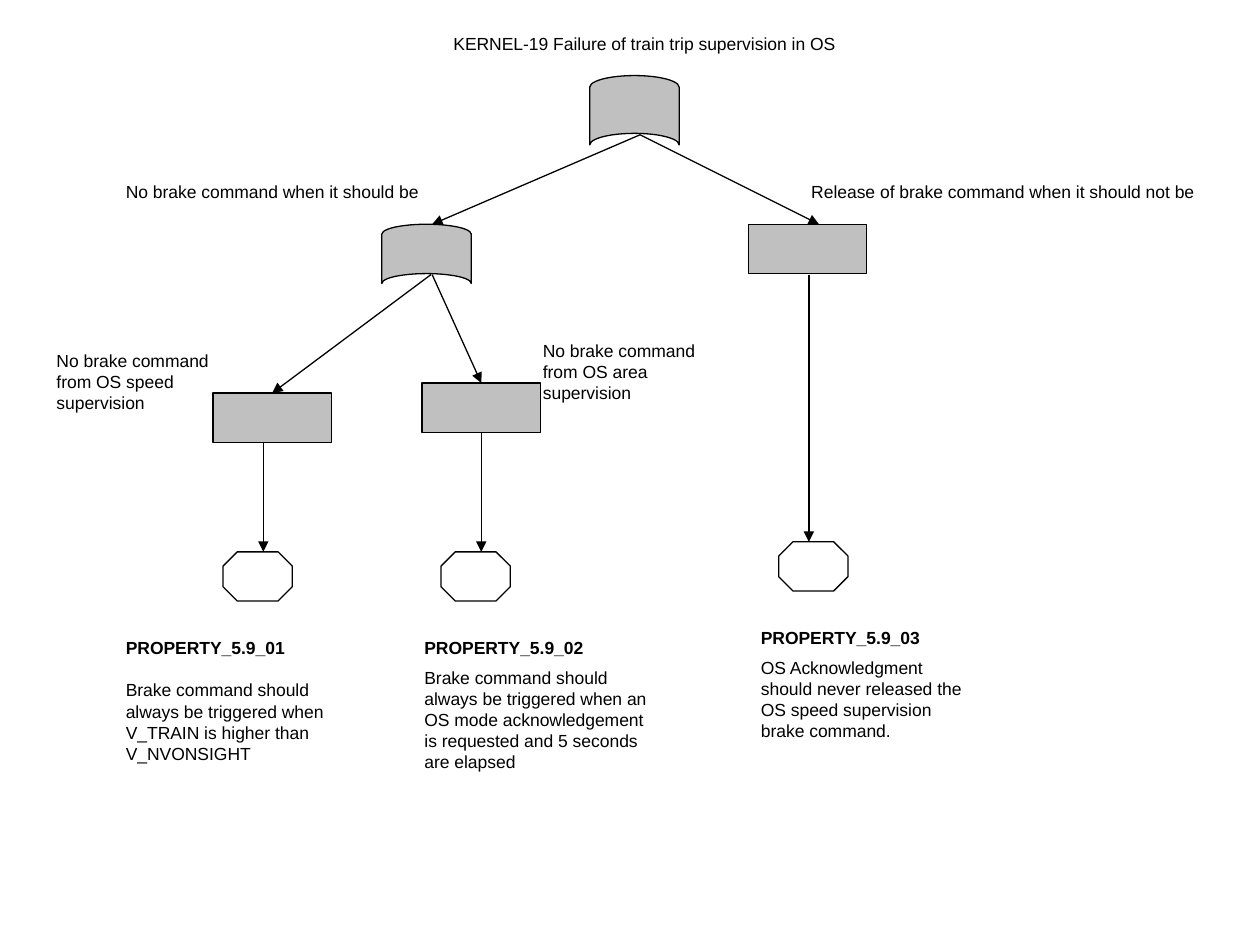
from lxml.etree import SubElement
from pptx import Presentation
from pptx.dml.color import RGBColor
from pptx.enum.shapes import MSO_CONNECTOR, MSO_SHAPE
from pptx.oxml.ns import qn
from pptx.util import Inches, Pt

COLUMNS, ROWS = 100, 75
SLIDE_WIDTH, SLIDE_HEIGHT = Inches(10), Inches(7.5)
BLACK = RGBColor(0, 0, 0)
GREY = RGBColor(192, 192, 192)
WHITE = RGBColor(255, 255, 255)
LINE_WIDTH = Pt(0.75)
BOX_SIZE = (9.4, 3.9)
OCTAGON_SIZE = (5.5, 3.9)

LABELS = [
    ("KERNEL-19 Failure of train trip supervision in OS", 35, 2.1, 33.1, 2.7),
    ("No brake command when it should be", 9, 13.9, 26, 2.7),
    ("Release of brake command when it should not be", 63.4, 13.9, 34.7, 2.7),
    ("No brake command from OS speed supervision", 3.5, 27.3, 15, 6),
    ("No brake command from OS area supervision", 42.1, 26.5, 16.5, 6),
]
PROPERTIES = [
    ("PROPERTY_5.9_01",
     "Brake command should always be triggered when V_TRAIN is higher than V_NVONSIGHT",
     9, 50.1, 20.1, 11, 12),
    ("PROPERTY_5.9_02",
     "Brake command should always be triggered when an OS mode acknowledgement "
     "is requested and 5 seconds are elapsed",
     32.7, 50.1, 19.7, 11.8, 5),
    ("PROPERTY_5.9_03",
     "OS Acknowledgment should never released the OS speed supervision brake command.",
     59.4, 49.3, 18.1, 10.2, 5),
]
ARROWS = [
    (50.8, 10.7, 34.3, 17.8),
    (50.8, 10.7, 65, 17.8),
    (34.2, 21.8, 21.6, 31.2),
    (34.3, 21.8, 38.2, 30.4),
    (20.9, 35.1, 20.9, 43.8),
    (38.2, 34.4, 38.2, 43.8),
    (64.2, 21.8, 64.2, 43),
]
GATES = [(47.6, 5.2, 5.5, 7.1), (31.5, 16.6, 4.7, 7.1)]
BOXES = [(59.4, 17.8), (33.5, 30.4), (16.9, 31.2)]
OCTAGONS = [(17.7, 43.8), (35, 43.8), (61.8, 43)]


def across(columns):
    return int(SLIDE_WIDTH * columns / COLUMNS)


def down(rows):
    return int(SLIDE_HEIGHT * rows / ROWS)


def place(left, top, width, height):
    return across(left), down(top), across(width), down(height)


def add_text(page, area, lines, gap=0):
    frame = page.shapes.add_textbox(*place(*area)).text_frame
    frame.word_wrap = True
    for index, (text, bold) in enumerate(lines):
        para = frame.add_paragraph() if index else frame.paragraphs[0]
        para.text = text
        para.font.name = "Arial"
        para.font.size = Pt(10)
        para.font.bold = bold
        para.font.color.rgb = BLACK
        para.space_before = Pt(gap if index else 0)


def add_arrow(page, left, top, right, bottom):
    arrow = page.shapes.add_connector(
        MSO_CONNECTOR.STRAIGHT, across(left), down(top), across(right), down(bottom))
    arrow.line.color.rgb = BLACK
    arrow.line.width = LINE_WIDTH
    SubElement(arrow.line._get_or_add_ln(), qn("a:tailEnd"), type="triangle")
    SubElement(arrow._element.spPr, qn("a:effectLst"))


def add_node(page, kind, area, color):
    node = page.shapes.add_shape(kind, *place(*area))
    node.shadow.inherit = False
    node.fill.solid()
    node.fill.fore_color.rgb = color
    node.line.color.rgb = BLACK
    node.line.width = LINE_WIDTH
    return node


def main():
    deck = Presentation()
    deck.slide_width, deck.slide_height = SLIDE_WIDTH, SLIDE_HEIGHT
    page = deck.slides.add_slide(deck.slide_layouts[6])

    for text, *area in LABELS:
        add_text(page, area, [(text, False)])
    for name, rule, *area, gap in PROPERTIES:
        add_text(page, area, [(name, True), (rule, False)], gap)
    for ends in ARROWS:
        add_arrow(page, *ends)
    for area in GATES:
        add_node(page, MSO_SHAPE.FLOWCHART_STORED_DATA, area, GREY).rotation = 90
    for corner in BOXES:
        add_node(page, MSO_SHAPE.RECTANGLE, corner + BOX_SIZE, GREY)
    for corner in OCTAGONS:
        add_node(page, MSO_SHAPE.OCTAGON, corner + OCTAGON_SIZE, WHITE).adjustments[0] = 0.29

    deck.save("out.pptx")


if __name__ == "__main__":
    main()
